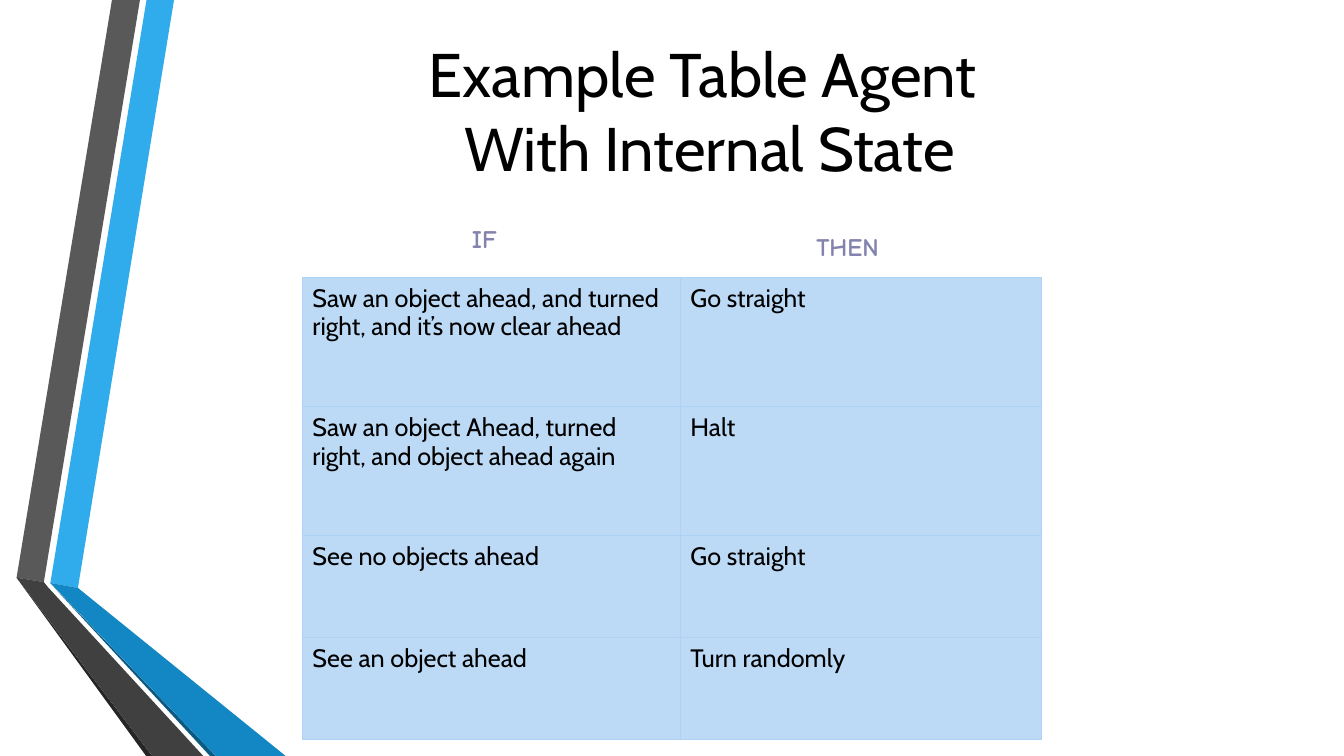
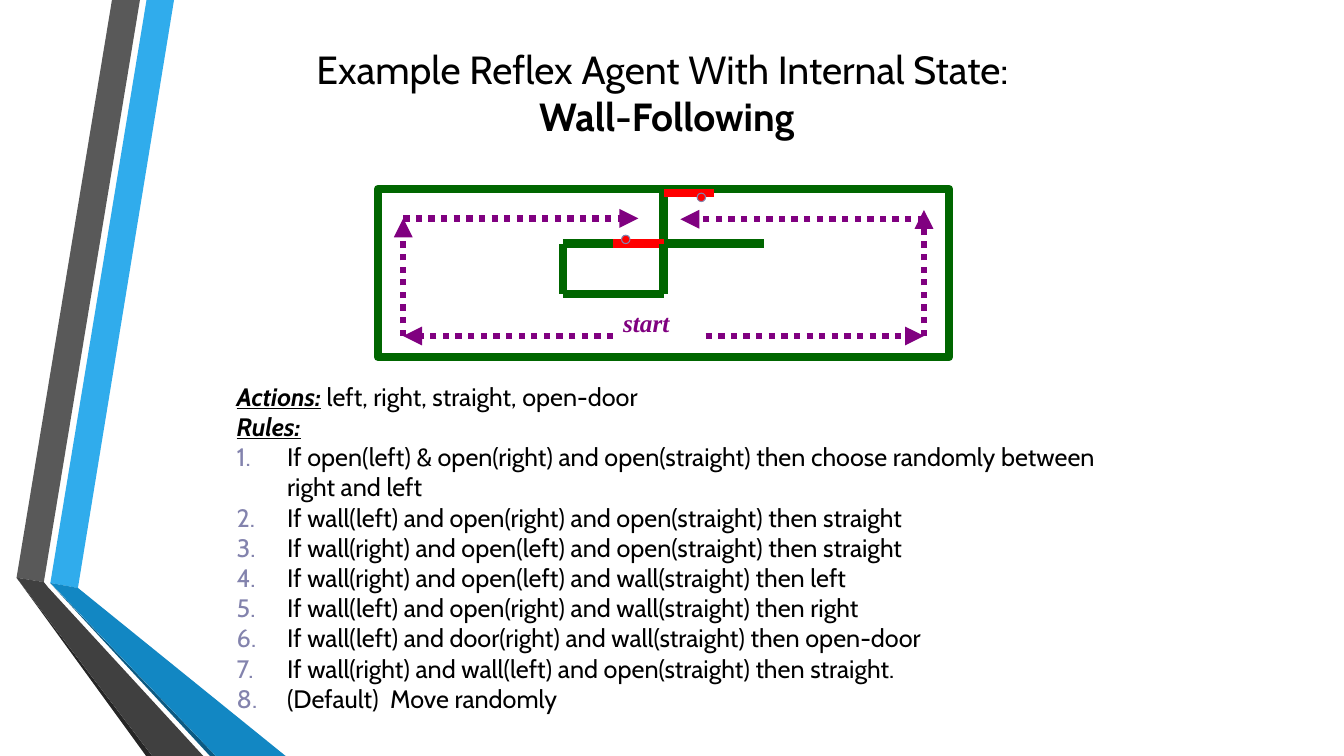
from collections import namedtuple

from lxml.etree import SubElement
from pptx import Presentation
from pptx.dml.color import RGBColor
from pptx.enum.dml import MSO_LINE
from pptx.enum.shapes import MSO_CONNECTOR, MSO_SHAPE
from pptx.enum.text import MSO_ANCHOR, MSO_AUTO_SIZE, PP_ALIGN
from pptx.oxml.ns import qn
from pptx.util import Emu, Inches, Pt

Box = namedtuple("Box", "left top width height")

CELL = Inches(1) / 12
COLUMNS, ROWS = 160, 90

BLACK = RGBColor(0x00, 0x00, 0x00)
LAVENDER = RGBColor(0x83, 0x83, 0xAD)
WALL_GREEN = RGBColor(0x00, 0x66, 0x00)
DOOR_RED = RGBColor(0xFF, 0x00, 0x00)
ROUTE_PURPLE = RGBColor(0x80, 0x00, 0x80)
CELL_BLUE = RGBColor(0xBC, 0xDA, 0xF6)
BORDER_BLUE = RGBColor(0xAE, 0xD2, 0xF4)
SKY = RGBColor(0x30, 0xAC, 0xEC)
GREY = RGBColor(0x59, 0x59, 0x59)
NEAR_BLACK = RGBColor(0x26, 0x26, 0x26)
NAVY = RGBColor(0x0C, 0x5A, 0x82)
BLUE = RGBColor(0x12, 0x87, 0xC3)
CHARCOAL = RGBColor(0x40, 0x40, 0x40)

BODY_FONT = "Cabin"
LABEL_FONT = "Comic Neue"
MAZE_FONT = "Times New Roman"

BANDS = [
    (SKY, [(6, 69.4), (9.28, 70), (20.72, 0), (17.45, 0)]),
    (GREY, [(16.66, 0), (13.33, 0), (1.97, 68.78), (5.22, 69.3)]),
    (NEAR_BLACK, [(1.97, 68.78), (17.4, ROWS), (18.12, ROWS)]),
    (NAVY, [(6, 69.45), (25, ROWS), (25.7, ROWS)]),
    (BLUE, [(6, 69.4), (25.7, ROWS), (34, ROWS), (9.28, 70)]),
    (CHARCOAL, [(24.2, ROWS), (5.7, 69.9), (5.22, 69.3), (1.97, 68.78), (18.12, ROWS)]),
]

TABLE_RULES = [
    ("Saw an object ahead, and turned right, and it’s now clear ahead", "Go straight"),
    ("Saw an object Ahead, turned right, and object ahead again", "Halt"),
    ("See no objects ahead", "Go straight"),
    ("See an object ahead", "Turn randomly"),
]

WALL_RULES = [
    "If open(left) & open(right) and open(straight) then choose randomly between right and left",
    "If wall(left) and open(right) and open(straight) then straight",
    "If wall(right) and open(left) and open(straight) then straight",
    "If wall(right) and open(left) and wall(straight) then left",
    "If wall(left) and open(right) and wall(straight) then right",
    "If wall(left) and door(right) and wall(straight) then open-door",
    "If wall(right) and wall(left) and open(straight) then straight.",
    "(Default)  Move randomly",
]


def cells(count):
    return Emu(round(count * CELL))


def place(box):
    return [cells(length) for length in box]


def set_font(font, name, size, color, bold=None, italic=None):
    font.name, font.size, font.bold, font.italic = name, Pt(size), bold, italic
    font.color.rgb = color


def add_bands(slide, layout):
    for index, (color, points) in enumerate(BANDS):
        corners = [(cells(column), cells(row)) for column, row in points]
        builder = slide.shapes.build_freeform(*corners[0], scale=1.0)
        builder.add_line_segments(corners[1:], close=True)
        band = builder.convert_to_shape()
        band.shadow.inherit = False
        band.fill.solid()
        band.fill.fore_color.rgb = color
        band.line.fill.background()
        band.element.nvSpPr.cNvPr.set("id", str(100 + index))
        layout.shapes.element.insert(2 + index, band.element)


def set_title(slide, box, size, first_line, second_line, second_bold=None):
    title = slide.shapes.title
    title.left, title.top, title.width, title.height = place(box)
    frame = title.text_frame
    frame.auto_size = MSO_AUTO_SIZE.NONE
    frame.vertical_anchor = MSO_ANCHOR.BOTTOM
    paragraph = frame.paragraphs[0]
    paragraph.alignment = PP_ALIGN.CENTER
    set_font(paragraph.font, BODY_FONT, size, BLACK)
    paragraph.add_run().text = first_line
    paragraph.add_line_break()
    run = paragraph.add_run()
    run.text = second_line
    run.font.bold = second_bold


def add_label(slide, box, text, font_name, color, italic=None, wrap=True):
    frame = slide.shapes.add_textbox(*place(box)).text_frame
    frame.word_wrap = wrap
    paragraph = frame.paragraphs[0]
    paragraph.text = text
    set_font(paragraph.font, font_name, 18, color, True, italic)


def add_borders(cell):
    properties = cell._tc.get_or_add_tcPr()
    for side in ("a:lnL", "a:lnR", "a:lnT", "a:lnB"):
        line = SubElement(properties, qn(side), w=str(Pt(0.75)))
        fill = SubElement(line, qn("a:solidFill"))
        SubElement(fill, qn("a:srgbClr"), val=str(BORDER_BLUE))


def add_rule_table(slide, box):
    table = slide.shapes.add_table(len(TABLE_RULES), 2, *place(box)).table
    table.first_row = table.horz_banding = False
    for column, share in zip(table.columns, (45 / 88, 43 / 88)):
        column.width = cells(box.width * share)
    for row, share in zip(table.rows, (0.28, 0.28, 0.22, 0.22)):
        row.height = cells(box.height * share)
    for row, texts in zip(table.rows, TABLE_RULES):
        for cell, text in zip(row.cells, texts):
            add_borders(cell)
            cell.fill.solid()
            cell.fill.fore_color.rgb = CELL_BLUE
            cell.margin_top = Inches(0.07)
            paragraph = cell.text_frame.paragraphs[0]
            paragraph.text = text
            paragraph.line_spacing = 0.93
            set_font(paragraph.font, BODY_FONT, 18, BLACK)


def add_line(slide, box, points, color, width, arrow=False):
    (x1, y1), (x2, y2) = points
    line = slide.shapes.add_connector(
        MSO_CONNECTOR.STRAIGHT,
        cells(box.left + x1), cells(box.top + y1),
        cells(box.left + x2), cells(box.top + y2),
    )
    line.line.color.rgb = color
    line.line.width = Pt(width)
    if arrow:
        line.line.dash_style = MSO_LINE.ROUND_DOT
        SubElement(line.line._get_or_add_ln(), qn("a:tailEnd"), type="triangle")
    SubElement(line.element.spPr, qn("a:effectLst"))
    return line


def add_maze(slide, box):
    left, middle, right = 3, box.width / 2, box.width - 3
    top, shelf, floor, bottom = 0.5, 6.5, 12.5, 17.5

    outline = slide.shapes.add_shape(MSO_SHAPE.RECTANGLE, *place(box))
    outline.shadow.inherit = False
    outline.fill.background()
    outline.line.color.rgb = WALL_GREEN
    outline.line.width = Pt(6)

    upper_wall = add_line(slide, box, [(middle, 0), (middle, shelf)], WALL_GREEN, 6)
    upper_wall.begin_connect(outline, 0)

    start = Box(box.left + 28, box.top + 13.5, 11.25, 5)
    add_label(slide, start, "start", MAZE_FONT, ROUTE_PURPLE, italic=True)

    for points in (
        [(middle, shelf), (middle - 6, shelf)],
        [(middle + 6, top), (middle, top)],
    ):
        add_line(slide, box, points, DOOR_RED, 6)

    for column, row in ((38, 0.5), (29, 5.5)):
        knob_box = Box(box.left + column, box.top + row, 1, 1)
        knob = slide.shapes.add_shape(MSO_SHAPE.OVAL, *place(knob_box))
        knob.shadow.inherit = False
        knob.fill.solid()
        knob.fill.fore_color.rgb = DOOR_RED
        knob.line.color.rgb = LAVENDER
        knob.line.width = Pt(0.75)

    for points in (
        [(28, bottom), (left, bottom)],
        [(left, bottom), (left, 3.5)],
        [(left, 3.5), (31, 3.5)],
        [(39, bottom), (right, bottom)],
        [(right, bottom), (right, 2.5)],
        [(right, 3.6), (36, 3.6)],
    ):
        add_line(slide, box, points, ROUTE_PURPLE, 4.5, arrow=True)

    for points in (
        [(middle, shelf), (middle + 12, shelf)],
        [(middle - 12, floor), (middle, floor)],
        [(middle - 12, shelf), (middle - 6, shelf)],
        [(middle - 12, floor), (middle - 12, shelf)],
        [(middle, floor), (middle, shelf)],
    ):
        add_line(slide, box, points, WALL_GREEN, 6)


def add_rule_list(slide, box):
    frame = slide.shapes.add_textbox(*place(box)).text_frame
    frame.word_wrap = True
    entries = [("Actions:", " left, right, straight, open-door"), ("Rules:", "")]
    entries += [("", rule) for rule in WALL_RULES]
    for index, (heading, text) in enumerate(entries):
        paragraph = frame.add_paragraph() if index else frame.paragraphs[0]
        properties = paragraph._p.get_or_add_pPr()
        properties.set("marL", str(Inches(0.5)))
        properties.set("indent", str(-Inches(0.5)))
        if not heading:
            bullet_color = SubElement(properties, qn("a:buClr"))
            SubElement(bullet_color, qn("a:srgbClr"), val=str(LAVENDER))
            SubElement(properties, qn("a:buAutoNum"), type="arabicPeriod")
        set_font(paragraph.font, BODY_FONT, 18, BLACK)
        if heading:
            run = paragraph.add_run()
            run.text = heading
            run.font.bold = run.font.italic = run.font.underline = True
        if text:
            paragraph.add_run().text = text


def build_table_agent(slide):
    set_title(slide, Box(17, 4.5, 135, 18), 44,
              "Example Table Agent ", "With Internal State")
    add_rule_table(slide, Box(36, 33, 88, 55))
    add_label(slide, Box(55, 26, 7.25, 5), "IF", LABEL_FONT, LAVENDER)
    add_label(slide, Box(96, 27, 11.25, 5), "THEN", LABEL_FONT, LAVENDER, wrap=False)


def build_wall_following(slide):
    set_title(slide, Box(26, 2.25, 106.75, 15), 28,
              "Example Reflex Agent With Internal State: ", "Wall-Following", True)
    add_rule_list(slide, Box(27, 44.75, 105, 41.25))
    add_maze(slide, Box(45, 22.5, 68, 20))


def main():
    presentation = Presentation()
    presentation.slide_width = cells(COLUMNS)
    presentation.slide_height = cells(ROWS)
    layout = presentation.slide_layouts.get_by_name("Title Only")
    slides = [presentation.slides.add_slide(layout) for _ in range(2)]
    add_bands(slides[0], layout)
    build_table_agent(slides[0])
    build_wall_following(slides[1])
    presentation.save("out.pptx")


if __name__ == "__main__":
    main()
